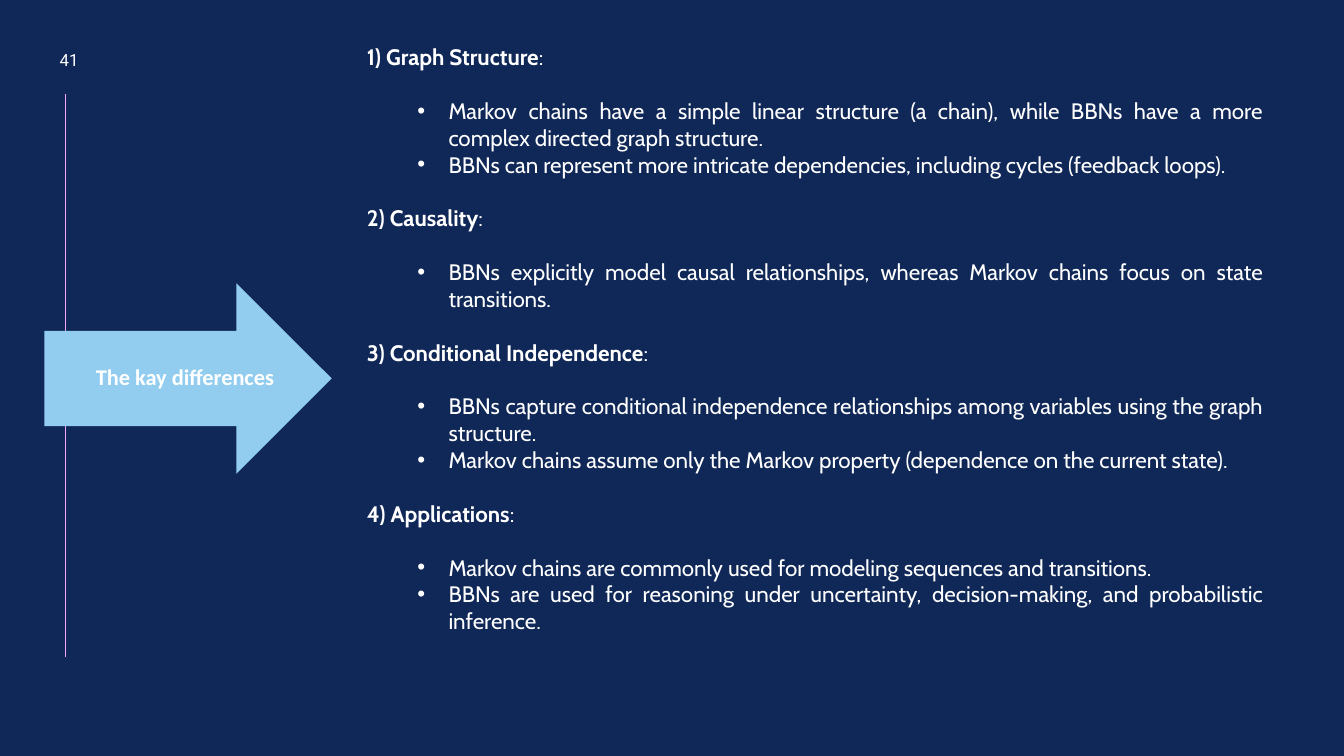
from lxml import etree
from pptx import Presentation
from pptx.dml.color import RGBColor
from pptx.enum.shapes import MSO_CONNECTOR, MSO_SHAPE
from pptx.enum.text import MSO_ANCHOR, MSO_AUTO_SIZE, PP_ALIGN
from pptx.oxml.ns import qn
from pptx.util import Inches, Pt

STRAIGHT, RIGHT_ARROW = MSO_CONNECTOR.STRAIGHT, MSO_SHAPE.RIGHT_ARROW
MIDDLE, NO_FIT = MSO_ANCHOR.MIDDLE, MSO_AUTO_SIZE.NONE
CENTER, JUSTIFY = PP_ALIGN.CENTER, PP_ALIGN.JUSTIFY

NAVY = RGBColor(0x10, 0x28, 0x57)
SKY = RGBColor(0x92, 0xCD, 0xF0)
PINK = RGBColor(0xF6, 0xA6, 0xF4)
WHITE = RGBColor(0xFF, 0xFF, 0xFF)

TITLE_ONLY = 5
BLANK_LINE = Pt(19.2)  # one line of 16 pt text

SECTIONS = [
    ("1) Graph Structure", [
        "Markov chains have a simple linear structure (a chain), while BBNs have "
        "a more complex directed graph structure.",
        "BBNs can represent more intricate dependencies, including cycles "
        "(feedback loops).",
    ]),
    ("2) Causality", [
        "BBNs explicitly model causal relationships, whereas Markov chains focus "
        "on state transitions.",
    ]),
    ("3) Conditional Independence", [
        "BBNs capture conditional independence relationships among variables "
        "using the graph structure.",
        "Markov chains assume only the Markov property (dependence on the "
        "current state).",
    ]),
    ("4) Applications", [
        "Markov chains are commonly used for modeling sequences and transitions.",
        "BBNs are used for reasoning under uncertainty, decision-making, and "
        "probabilistic inference.",
    ]),
]


def box(left, top, width, height):
    return [Inches(v) for v in (left, top, width, height)]


def style(p, font, size, align, bold=None):
    p.alignment = align
    p.font.name, p.font.size, p.font.bold = font, Pt(size), bold
    p.font.color.rgb = WHITE


def set_bullet(p):
    pPr = p._p.get_or_add_pPr()
    pPr.set("marL", str(Inches(0.81)))
    pPr.set("indent", str(Inches(-0.31)))
    font = etree.Element(qn("a:buFont"), typeface="Arial")
    mark = etree.Element(qn("a:buChar"), char="•")
    pPr.insert_element_before(font, "a:tabLst", "a:defRPr", "a:extLst")
    pPr.insert_element_before(mark, "a:tabLst", "a:defRPr", "a:extLst")


def add_side_line(slide):
    x = Inches(0.65)
    line = slide.shapes.add_connector(STRAIGHT, x, Inches(0.93), x, Inches(6.52))
    line.line.color.rgb = PINK
    line.line.width = Pt(0.5)
    etree.SubElement(line._element.spPr, qn("a:effectLst"))


def add_page_number(slide, number):
    tf = slide.shapes.add_textbox(*box(0.36, 0.4, 0.65, 0.39)).text_frame
    tf.word_wrap = True
    tf.vertical_anchor = MIDDLE
    p = tf.paragraphs[0]
    p.text = number
    style(p, "Roboto", 12, CENTER)


def add_sections(slide, sections):
    tf = slide.shapes.add_textbox(*box(3.54, 0.38, 9.09, 6.93)).text_frame
    tf.word_wrap = True
    for i, (heading, points) in enumerate(sections):
        p = tf.add_paragraph() if i else tf.paragraphs[0]
        style(p, "Cabin", 16, JUSTIFY)
        p.space_before = BLANK_LINE if i else 0
        p.space_after = BLANK_LINE
        r = p.add_run()
        r.text, r.font.bold = heading, True
        p.add_run().text = ":"
        for point in points:
            p = tf.add_paragraph()
            p.text, p.level = point, 1
            style(p, "Cabin", 16, JUSTIFY)
            set_bullet(p)


def add_title_arrow(slide, text):
    arrow = slide.shapes.add_shape(RIGHT_ARROW, *box(0.44, 2.81, 2.85, 1.89))
    arrow.shadow.inherit = False
    arrow.fill.solid()
    arrow.fill.fore_color.rgb = SKY
    arrow.line.fill.background()

    # The title lies on top of the arrow
    title = slide.shapes.title
    arrow._element.addnext(title._element)
    title.left, title.top, title.width, title.height = box(0.67, 3.28, 2.33, 0.94)
    tf = title.text_frame
    tf.auto_size, tf.word_wrap, tf.vertical_anchor = NO_FIT, True, MIDDLE
    tf.margin_left = tf.margin_right = 0
    tf.margin_top = tf.margin_bottom = Inches(0.18)
    p = tf.paragraphs[0]
    p.text = text
    p.line_spacing = 0.9
    style(p, "Calibri", 16, CENTER, bold=True)


def main():
    prs = Presentation()
    prs.slide_width, prs.slide_height = Inches(13.33), Inches(7.5)
    slide = prs.slides.add_slide(prs.slide_layouts[TITLE_ONLY])
    slide.background.fill.solid()
    slide.background.fill.fore_color.rgb = NAVY

    add_side_line(slide)
    add_page_number(slide, "41")
    add_sections(slide, SECTIONS)
    add_title_arrow(slide, "The kay differences")
    prs.save("out.pptx")


if __name__ == "__main__":
    main()
